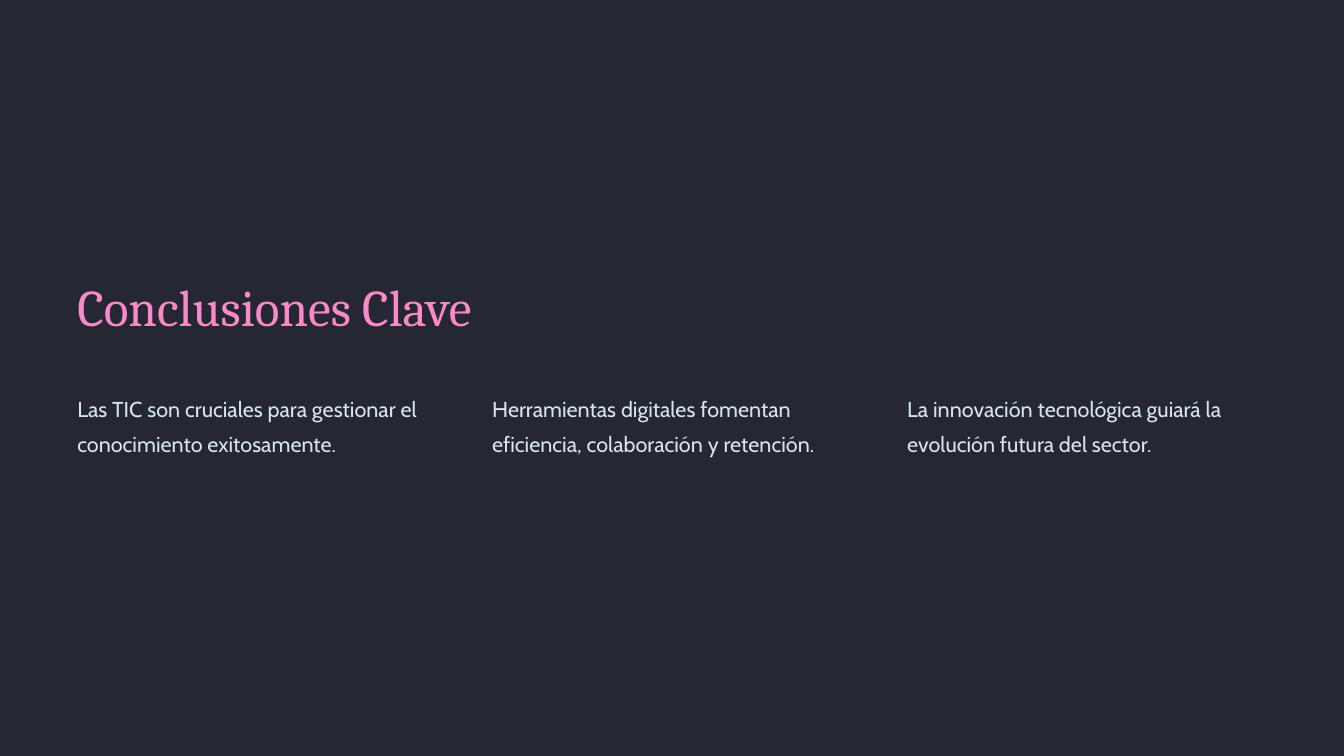
from pptx import Presentation
from pptx.dml.color import RGBColor
from pptx.enum.shapes import MSO_SHAPE
from pptx.enum.text import MSO_ANCHOR, MSO_AUTO_SIZE, PP_ALIGN
from pptx.util import Inches, Pt

# Content
TITLE = "Conclusiones Clave"
CONCLUSIONS = [
    "Las TIC son cruciales para gestionar el conocimiento exitosamente.",
    "Herramientas digitales fomentan eficiencia, colaboración y retención.",
    "La innovación tecnológica guiará la evolución futura del sector.",
]
COLORS = {"base": "181A24", "overlay": "252833", "title": "F98AC7", "body": "D6E5EF"}

# Layout, in inches
SLIDE_W, SLIDE_H = 20, 11.25
FIRST_LEFT, LAST_LEFT = 1.15, 13.5
COLUMN_W = 5.37
COLUMN_PITCH = (LAST_LEFT - FIRST_LEFT) / (len(CONCLUSIONS) - 1)


def write(shape, text, *, font, size, color, leading):
    frame = shape.text_frame
    frame.word_wrap = True
    frame.auto_size = MSO_AUTO_SIZE.NONE
    frame.vertical_anchor = MSO_ANCHOR.TOP
    frame.margin_left = frame.margin_right = 0
    frame.margin_top = frame.margin_bottom = 0
    paragraph = frame.paragraphs[0]
    paragraph.alignment = PP_ALIGN.LEFT
    paragraph.line_spacing = Pt(leading)
    run = paragraph.add_run()
    run.text = text
    run.font.name = font
    run.font.size = Pt(size)
    run.font.color.rgb = RGBColor.from_string(COLORS[color])


def main():
    deck = Presentation()
    deck.slide_width, deck.slide_height = Inches(SLIDE_W), Inches(SLIDE_H)
    slide = deck.slides.add_slide(deck.slide_layouts.get_by_name("Title Only"))
    title = slide.shapes.title

    # Full-page layers, placed behind the title
    for layer in ("base", "overlay"):
        panel = slide.shapes.add_shape(
            MSO_SHAPE.RECTANGLE, 0, 0, deck.slide_width, deck.slide_height)
        panel.shadow.inherit = False
        panel.fill.solid()
        panel.fill.fore_color.rgb = RGBColor.from_string(COLORS[layer])
        panel.line.fill.background()
        title.element.addprevious(panel.element)

    # Title
    title.left, title.top = Inches(FIRST_LEFT), Inches(4.06)
    title.width, title.height = Inches(7.7), Inches(0.98)
    write(title, TITLE, font="Cambria", size=55, color="title", leading=68.8)

    # Three equal columns
    for column, conclusion in enumerate(CONCLUSIONS):
        left = FIRST_LEFT + column * COLUMN_PITCH
        box = slide.shapes.add_textbox(
            Inches(left), Inches(5.75), Inches(COLUMN_W), Inches(1.13))
        write(box, conclusion, font="Cabin", size=23.1, color="body", leading=37.5)

    deck.save("out.pptx")


if __name__ == "__main__":
    main()
